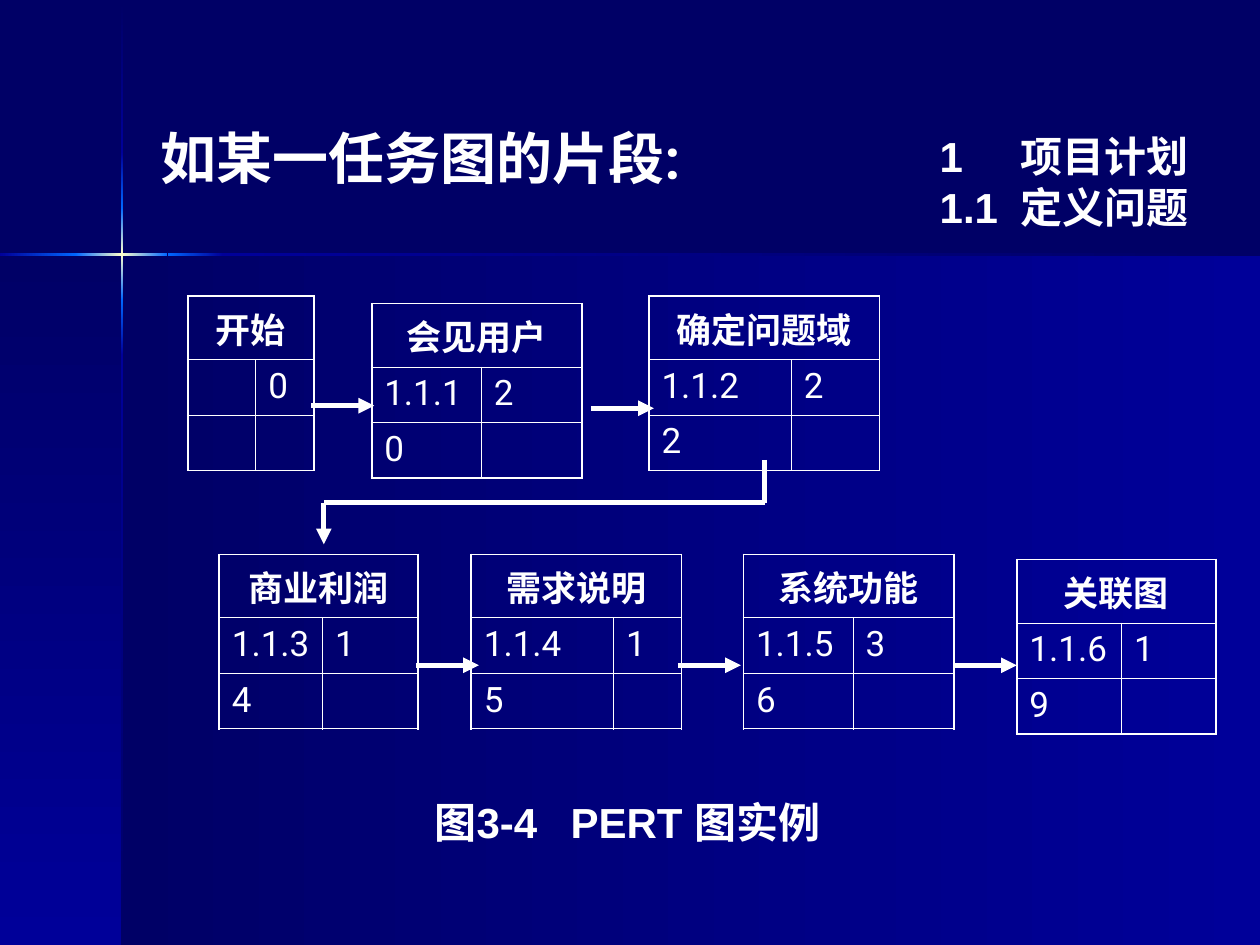
from copy import deepcopy
from typing import NamedTuple

from lxml.etree import SubElement
from pptx import Presentation
from pptx.dml.color import RGBColor
from pptx.enum.shapes import MSO_CONNECTOR, MSO_SHAPE
from pptx.enum.text import MSO_ANCHOR, MSO_AUTO_SIZE, PP_ALIGN
from pptx.oxml.ns import qn
from pptx.util import Inches, Pt

WHITE = RGBColor(0xFF, 0xFF, 0xFF)
NAVY = RGBColor(0x00, 0x00, 0x66)
BLUE = RGBColor(0x00, 0x00, 0x99)
BRIGHT = RGBColor(0x00, 0x66, 0xFF)
CREAM = RGBColor(0xFF, 0xFF, 0xCC)

DOWN, LEFTWARD = 270, 180  # gradient directions, counter-clockwise degrees
ROW_HEIGHTS = (0.5, 0.44, 0.44)
OUTER, INNER = 1.08, 0.45  # border widths in points


class Band(NamedTuple):
    left: float
    top: float
    width: float
    height: float
    angle: int
    colors: tuple[RGBColor, ...]


class Task(NamedTuple):
    name: str
    left: float
    top: float
    columns: tuple[float, float]
    number: str
    duration: str
    start: str


class Link(NamedTuple):
    x1: float
    y1: float
    x2: float
    y2: float
    arrow: bool = True


BANDS = [
    Band(0.97, 2.02, 9.03, 5.48, LEFTWARD, (BLUE, NAVY)),
    Band(0, 2.02, 0.97, 5.48, DOWN, (NAVY, BLUE)),
    Band(0.96, 0.01, 0.02, 1.2, DOWN, (NAVY, BLUE)),
    Band(0.96, 2.82, 0.02, 4.68, DOWN, (BLUE, NAVY)),
    Band(1.77, 2.01, 8.23, 0.02, LEFTWARD, (NAVY, BLUE)),
    Band(0.96, 2.38, 0.02, 0.44, DOWN, (BRIGHT, BLUE)),
    Band(0.96, 1.21, 0.02, 0.44, DOWN, (BLUE, BRIGHT)),
    Band(0.96, 1.65, 0.02, 0.73, DOWN, (BRIGHT, CREAM, BRIGHT)),
    Band(0, 2.01, 0.61, 0.02, LEFTWARD, (BRIGHT, BLUE)),
    Band(1.33, 2.01, 0.44, 0.02, LEFTWARD, (BLUE, BRIGHT)),
    Band(0.6, 2.01, 0.73, 0.02, LEFTWARD, (BRIGHT, CREAM, BRIGHT)),
]

TASKS = [
    Task("开始", 1.49, 2.35, (0.54, 0.46), "", "0", ""),
    Task("会见用户", 2.95, 2.41, (0.87, 0.8), "1.1.1", "2", "0"),
    Task("商业利润", 1.74, 4.4, (0.82, 0.76), "1.1.3", "1", "4"),
    Task("系统功能", 5.9, 4.4, (0.87, 0.8), "1.1.5", "3", "6"),
    Task("关联图", 8.07, 4.44, (0.83, 0.75), "1.1.6", "1", "9"),
    Task("确定问题域", 5.15, 2.35, (1.13, 0.7), "1.1.2", "2", "2"),
    Task("需求说明", 3.74, 4.4, (1.13, 0.54), "1.1.4", "1", "5"),
]

ARROW_STARTS = [(2.47, 3.22), (4.69, 3.24), (3.3, 5.28), (5.38, 5.28), (7.57, 5.28)]
LINKS = [Link(x, y, x + 0.5, y) for x, y in ARROW_STARTS] + [
    Link(6.07, 3.65, 6.07, 3.99, False),
    Link(2.57, 3.99, 6.07, 3.99, False),
    Link(2.57, 3.99, 2.57, 4.32),
]


def style(para, size: int, name: str, bold: bool = True) -> None:
    font = para.font
    font.size, font.name, font.bold = Pt(size), name, bold
    font.color.rgb = WHITE


def draw_band(page, band: Band) -> None:
    box = page.shapes.add_shape(MSO_SHAPE.RECTANGLE, *map(Inches, band[:4]))
    box.shadow.inherit = False
    box.line.fill.background()
    box.fill.gradient()
    box.fill.gradient_angle = band.angle
    stops = box.fill.gradient_stops
    if len(band.colors) == 3:
        first = box._element.spPr.find(".//" + qn("a:gs"))
        first.addnext(deepcopy(first))
        stops = box.fill.gradient_stops
    for index, (stop, color) in enumerate(zip(stops, band.colors)):
        stop.position = index / (len(band.colors) - 1)
        stop.color.rgb = color


def set_borders(cell, widths: dict[str, float]) -> None:
    """Put white borders, in schema order, ahead of the cell's fill."""
    properties = cell._tc.get_or_add_tcPr()
    for index, (side, width) in enumerate(widths.items()):
        line = SubElement(properties, qn(f"a:ln{side}"), w=str(Pt(width)))
        fill = SubElement(line, qn("a:solidFill"))
        SubElement(fill, qn("a:srgbClr"), val=str(WHITE))
        properties.insert(index, line)


def draw_task(page, task: Task) -> None:
    frame = page.shapes.add_table(
        3, 2, Inches(task.left), Inches(task.top),
        Inches(sum(task.columns)), Inches(sum(ROW_HEIGHTS)))
    table = frame.table
    table.first_row = table.horz_banding = False
    for column, width in zip(table.columns, task.columns):
        column.width = Inches(width)
    for row, height in zip(table.rows, ROW_HEIGHTS):
        row.height = Inches(height)
    table.cell(0, 0).merge(table.cell(0, 1))
    texts = ((task.name, ""), (task.number, task.duration), (task.start, ""))
    for r, row_texts in enumerate(texts):
        for c, text in enumerate(row_texts):
            cell = table.cell(r, c)
            cell.fill.background()
            set_borders(cell, {
                "L": OUTER if c == 0 else INNER,
                "R": OUTER if c == 1 or r == 0 else INNER,
                "T": OUTER if r == 0 else INNER,
                "B": OUTER if r == 2 else INNER,
            })
            if text:
                cell.text = text
                para = cell.text_frame.paragraphs[0]
                para.alignment = PP_ALIGN.CENTER if r == 0 else PP_ALIGN.LEFT
                style(para, 20, "Roboto", bold=r == 0)


def draw_link(page, link: Link) -> None:
    connector = page.shapes.add_connector(MSO_CONNECTOR.STRAIGHT, *map(Inches, link[:4]))
    connector.line.color.rgb = WHITE
    connector.line.width = Pt(3)
    if link.arrow:
        SubElement(connector.line._get_or_add_ln(), qn("a:tailEnd"), type="triangle")
    SubElement(connector._element.spPr, qn("a:effectLst"))


def draw_text(page, lines: list[str], left: float, top: float,
              width: float, height: float, tab: float) -> None:
    box = page.shapes.add_textbox(*map(Inches, (left, top, width, height)))
    frame = box.text_frame
    frame.word_wrap = True
    frame.auto_size = MSO_AUTO_SIZE.SHAPE_TO_FIT_TEXT
    frame.text = "\n".join(lines)
    for para in frame.paragraphs:
        tabs = SubElement(para._p.get_or_add_pPr(), qn("a:tabLst"))
        SubElement(tabs, qn("a:tab"), pos=str(Inches(tab)), algn="l")
        style(para, 24, "Arial")


def draw_title(page, text: str) -> None:
    title = page.shapes.title
    title.left, title.top, title.width, title.height = map(Inches, (1.17, 0.6, 8.25, 1.3))
    frame = title.text_frame
    frame.text = text
    frame.vertical_anchor = MSO_ANCHOR.MIDDLE
    frame.auto_size = MSO_AUTO_SIZE.NONE
    frame.paragraphs[0].alignment = PP_ALIGN.LEFT
    style(frame.paragraphs[0], 32, "Roboto")


def main() -> None:
    deck = Presentation()
    deck.slide_width, deck.slide_height = Inches(10), Inches(7.5)
    page = deck.slides.add_slide(deck.slide_layouts[5])
    page.background.fill.solid()
    page.background.fill.fore_color.rgb = NAVY
    for band in BANDS:
        draw_band(page, band)
    draw_title(page, "如某一任务图的片段:")
    for task in TASKS:
        draw_task(page, task)
    for link in LINKS:
        draw_link(page, link)
    draw_text(page, ["图3-4\tPERT 图实例"], 3.35, 6.27, 3.62, 0.5, tab=1.08)
    draw_text(page, ["1\t项目计划", "1.1\t定义问题"], 7.36, 0.99, 2.36, 0.9, tab=0.64)
    deck.save("out.pptx")


if __name__ == "__main__":
    main()
